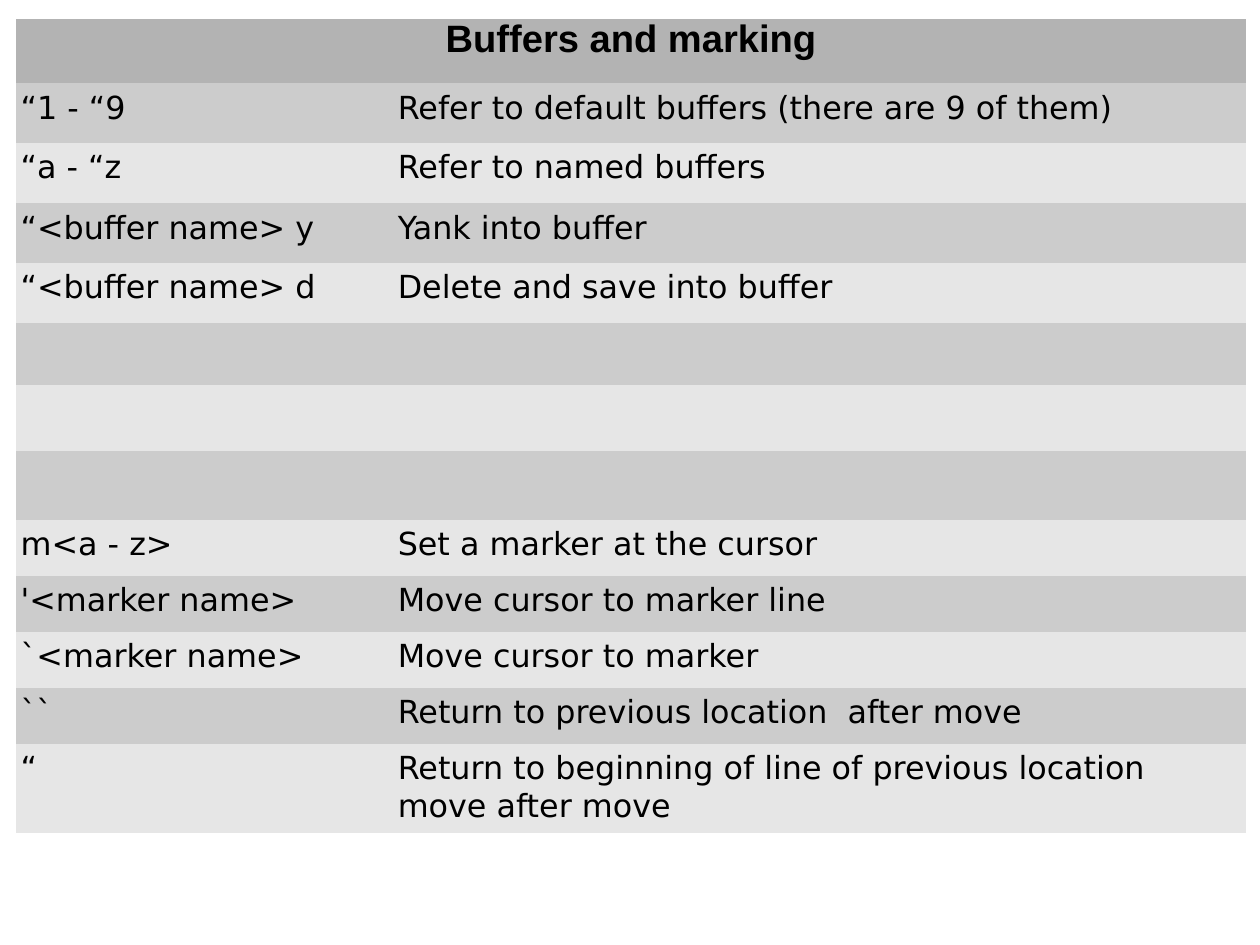
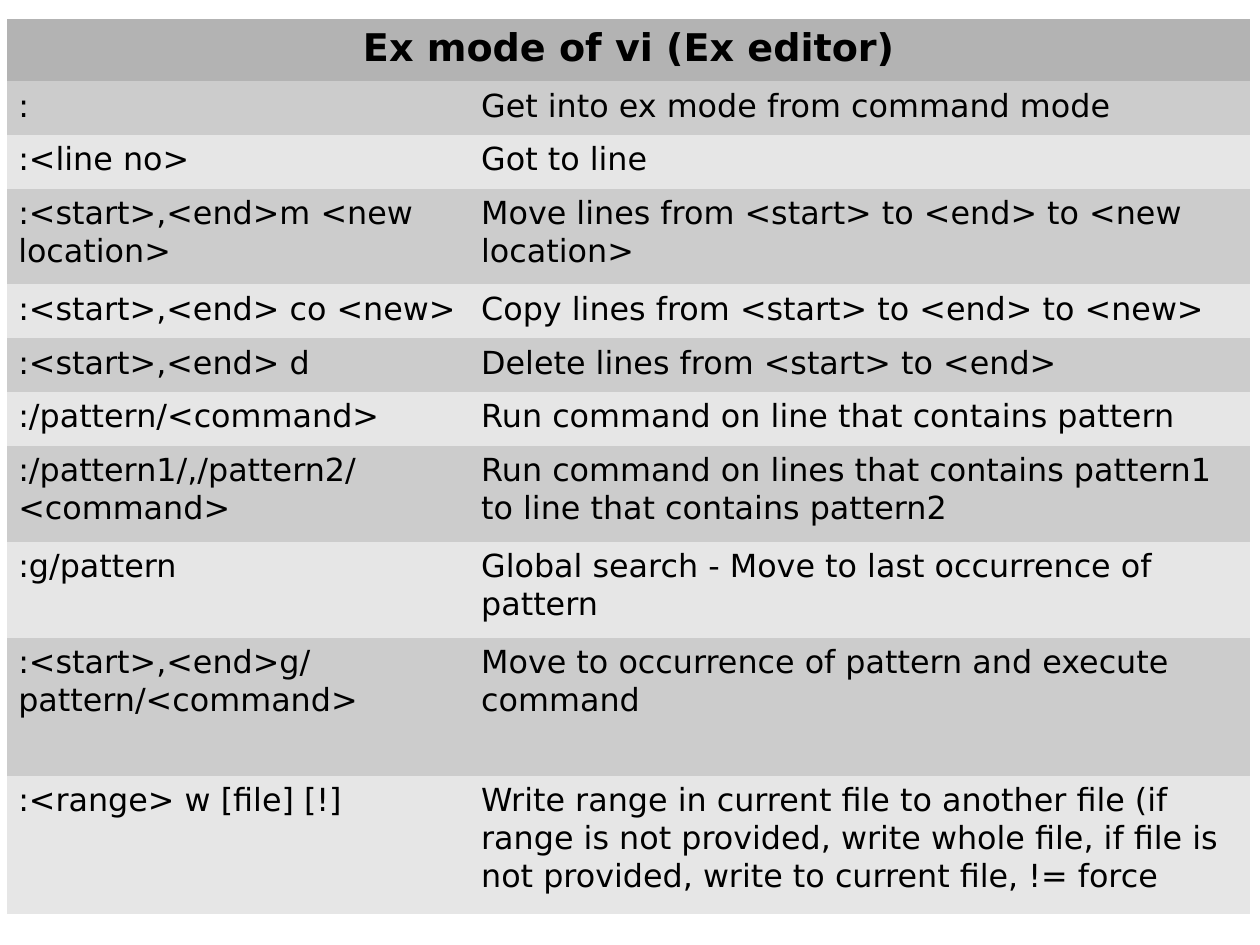
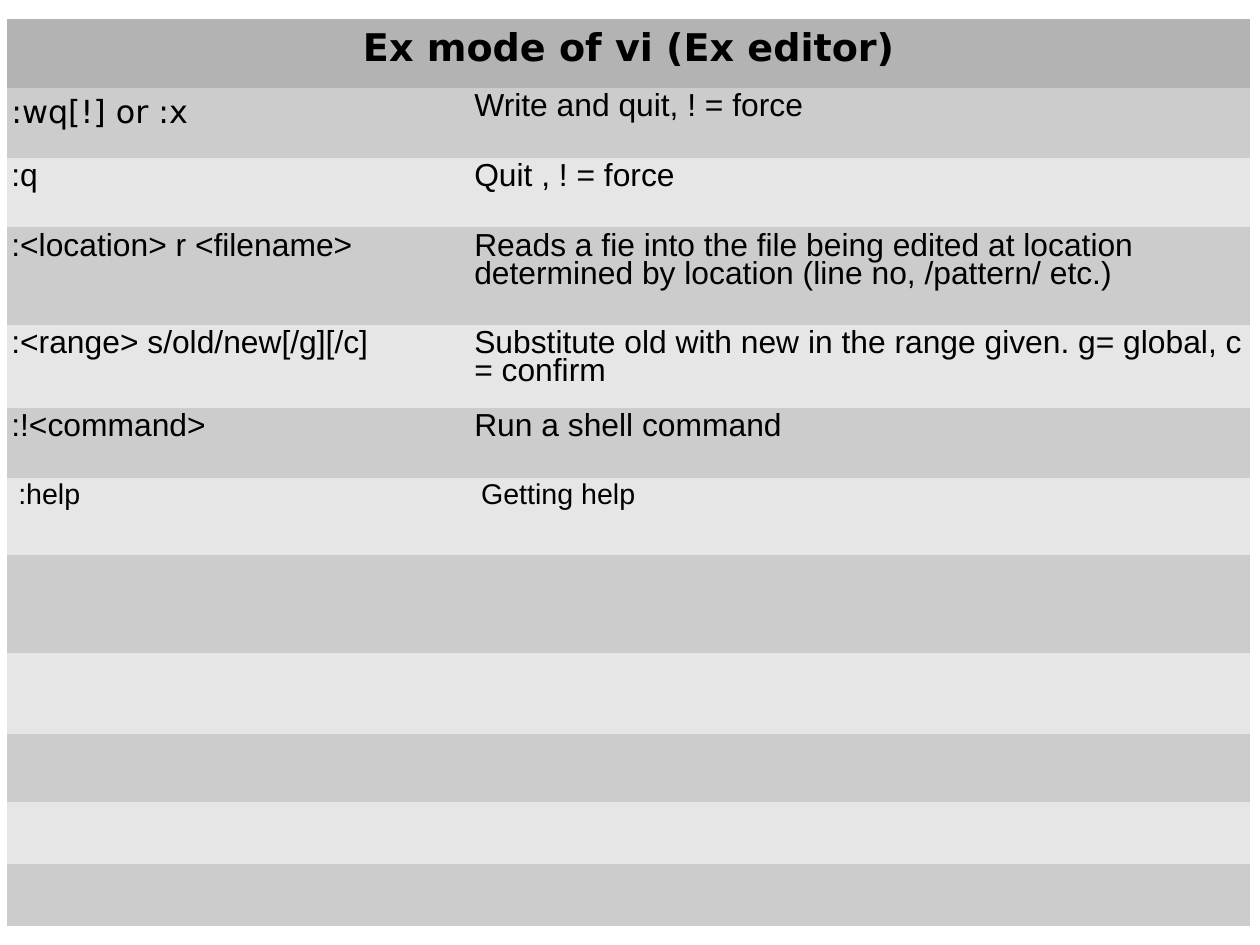
"""Build three vi reference slides, each holding one banded command table."""
import pptx
import pptx.dml.color
import pptx.enum.text
import pptx.oxml.ns
import pptx.util

COLORS = {"header": "B3B3B3", "dark": "CCCCCC", "light": "E6E6E6", "text": "000000"}
NO_STYLE_NO_GRID = "{2D5ABB26-0587-4C30-8999-92F81FD0307C}"
TABLE_TOP = 0.17

WIDE = {"font": "DejaVu Sans", "spacing": 1.02, "margin": 0.1}
WIDE_TIGHT = {**WIDE, "margin": 0.04}
ARIAL = {"font": "Arial", "spacing": 0.81, "margin": 0.1}
ARIAL_TIGHT = {**ARIAL, "margin": 0.04}

BUFFER_ROWS = [
    (0.52, "“1 - “9", "Refer to default buffers (there are 9 of them)"),
    (0.53, "“a - “z", "Refer to named buffers"),
    (0.52, "“<buffer name> y", "Yank into buffer"),
    (0.53, "“<buffer name> d", "Delete and save into buffer"),
    (0.54, "", ""),
    (0.58, "", ""),
    (0.6, "", ""),
    (0.49, "m<a - z>", "Set a marker at the cursor"),
    (0.49, "'<marker name>", "Move cursor to marker line"),
    (0.49, "`<marker name>", "Move cursor to marker"),
    (0.49, "``", "Return to previous location  after move"),
    (0.78, "“", "Return to beginning of line of previous location move after move"),
]

EX_RANGE_ROWS = [
    (0.47, ":", "Get into ex mode from command mode"),
    (0.47, ":<line no>", "Got to line"),
    (0.84, ":<start>,<end>m <new location>",
     "Move lines from <start> to <end> to <new location>"),
    (0.47, ":<start>,<end> co <new>", "Copy lines from <start> to <end> to <new>"),
    (0.47, ":<start>,<end> d", "Delete lines from <start> to <end>"),
    (0.47, ":/pattern/<command>", "Run command on line that contains pattern"),
    (0.84, ":/pattern1/,/pattern2/ <command>",
     "Run command on lines that contains pattern1 to line that contains pattern2"),
    (0.84, ":g/pattern", "Global search - Move to last occurrence of pattern"),
    (1.21, ":<start>,<end>g/pattern/<command>",
     "Move to occurrence of pattern and execute command"),
    (1.21, ":<range> w [file] [!]",
     "Write range in current file to another file (if range is not provided, "
     "write whole file, if file is not provided, write to current file, != force"),
]

EX_FILE_ROWS = [
    (0.61, ":wq[!] or :x", "Write and quit, ! = force"),
    (0.61, ":q", "Quit , ! = force"),
    (0.85, ":<location> r <filename>",
     "Reads a fie into the file being edited at location determined by location "
     "(line no, /pattern/ etc.)"),
    (0.73, ":<range> s/old/new[/g][/c]",
     "Substitute old with new in the range given. g= global, c = confirm"),
    (0.61, ":!<command>", "Run a shell command"),
    (0.68, ":help", "Getting help"),
    (0.85, "", ""),
    (0.71, "", ""),
    (0.6, "", ""),
    (0.54, "", ""),
    (0.54, "", ""),
]


def fill_cell(cell, color):
    """Give a cell a solid fill."""
    cell.fill.solid()
    cell.fill.fore_color.rgb = pptx.dml.color.RGBColor.from_string(COLORS[color])


def write_cell(cell, text, *, font, spacing, margin, size=20, bold=False, centered=False):
    """Write formatted text into a cell."""
    cell.margin_left = cell.margin_right = pptx.util.Inches(margin)
    cell.margin_top = cell.margin_bottom = pptx.util.Inches(0.05)
    paragraph = cell.text_frame.paragraphs[0]
    paragraph.line_spacing = spacing
    alignment = pptx.enum.text.PP_ALIGN
    paragraph.alignment = alignment.CENTER if centered else alignment.LEFT
    run = paragraph.add_run()
    run.text = text
    run.font.name = font
    run.font.size = pptx.util.Pt(size)
    run.font.bold = bold
    run.font.color.rgb = pptx.dml.color.RGBColor.from_string(COLORS["text"])


def add_command_table(slide, left, column_widths, title, title_height, rows,
                      title_format, body_format, special_formats=None, merged_rows=()):
    """Add a titled, banded table; special formats are keyed by (row, column)."""
    special_formats = special_formats or {}
    heights = [title_height] + [row[0] for row in rows]
    table = slide.shapes.add_table(
        len(heights), len(column_widths),
        pptx.util.Inches(left), pptx.util.Inches(TABLE_TOP),
        pptx.util.Inches(sum(column_widths)), pptx.util.Inches(sum(heights))).table
    table.first_row = table.horz_banding = False
    table._tbl.tblPr.find(pptx.oxml.ns.qn("a:tableStyleId")).text = NO_STYLE_NO_GRID
    for column, width in zip(table.columns, column_widths):
        column.width = pptx.util.Inches(width)
    for table_row, height in zip(table.rows, heights):
        table_row.height = pptx.util.Inches(height)

    for row_index in (0, *merged_rows):
        table.cell(row_index, 0).merge(table.cell(row_index, 1))
    fill_cell(table.cell(0, 0), "header")
    write_cell(table.cell(0, 0), title, size=24, bold=True, centered=True, **title_format)

    for row_index, (_, *texts) in enumerate(rows, start=1):
        for column_index, text in enumerate(texts):
            cell = table.cell(row_index, column_index)
            fill_cell(cell, "dark" if row_index % 2 else "light")
            if text:
                cell_format = special_formats.get((row_index, column_index), body_format)
                write_cell(cell, text, **cell_format)


def main():
    """Build and save the presentation."""
    presentation = pptx.Presentation()
    presentation.slide_width = pptx.util.Cm(28)
    presentation.slide_height = pptx.util.Cm(21)
    blank_layout = presentation.slide_layouts[6]
    ex_table = {"left": 0.06, "column_widths": (4.05, 6.83),
                "title": "Ex mode of vi (Ex editor)", "title_format": WIDE}
    help_format = {**ARIAL, "size": 18}
    tables = [
        {"left": 0.14, "column_widths": (3.3, 7.46), "title": "Buffers and marking",
         "title_height": 0.56, "rows": BUFFER_ROWS, "title_format": ARIAL,
         "body_format": WIDE_TIGHT, "merged_rows": (7,)},
        {**ex_table, "title_height": 0.54, "rows": EX_RANGE_ROWS, "body_format": WIDE},
        {**ex_table, "title_height": 0.6, "rows": EX_FILE_ROWS, "body_format": ARIAL_TIGHT,
         "special_formats": {(1, 0): WIDE_TIGHT, (6, 0): help_format, (6, 1): help_format}},
    ]
    for table in tables:
        add_command_table(presentation.slides.add_slide(blank_layout), **table)
    presentation.save("out.pptx")


if __name__ == "__main__":
    main()
